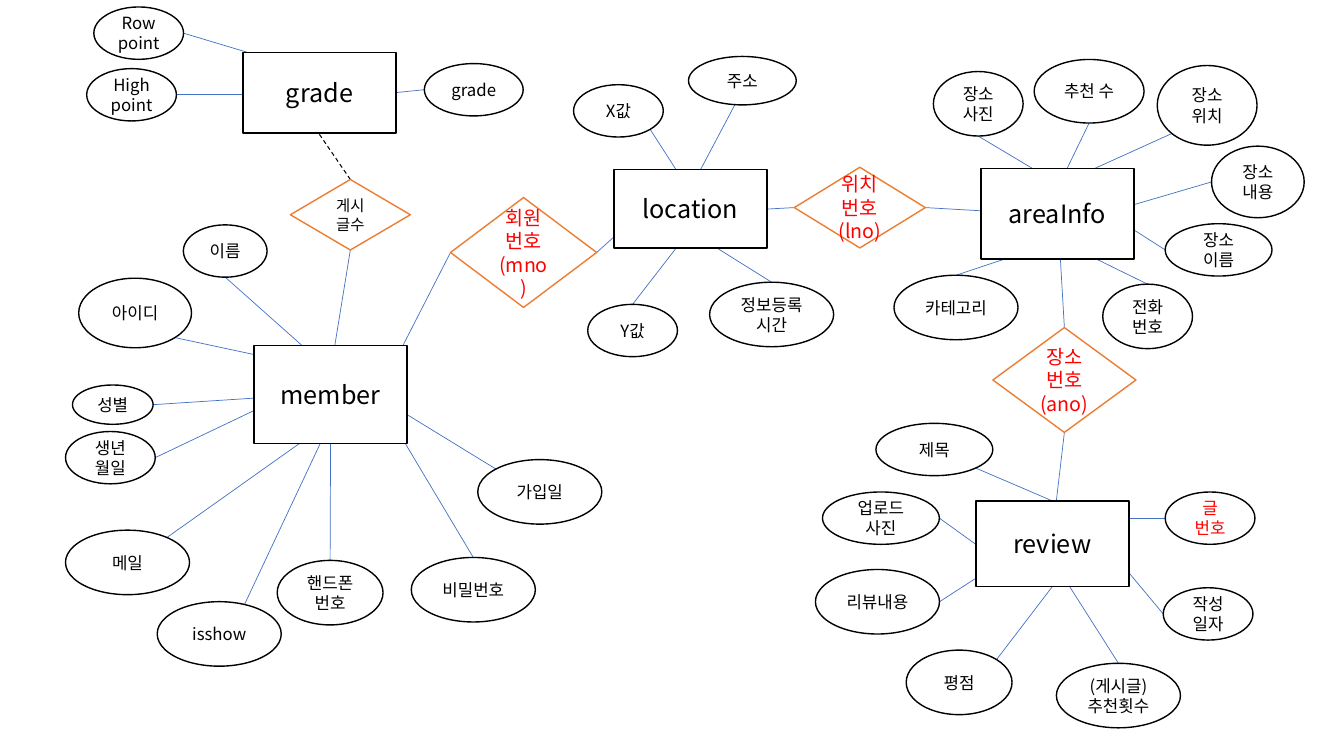
from lxml.etree import SubElement
from pptx import Presentation
from pptx.dml.color import RGBColor
from pptx.enum.dml import MSO_LINE
from pptx.enum.shapes import MSO_CONNECTOR, MSO_SHAPE
from pptx.enum.text import MSO_ANCHOR, PP_ALIGN
from pptx.oxml.ns import qn
from pptx.util import Pt

COLORS = {"paper": "FFFFFF", "ink": "000000", "key": "FF0000",
          "relation": "ED7D31", "link": "4472C4"}
FONT = "Noto Sans CJK KR"

# Attribute points as fractions of the bounding box
SITES = {"top": (.5, 0), "bottom": (.5, 1), "left": (0, .5), "right": (1, .5),
         "top left": (.146, .146), "top right": (.854, .146),
         "bottom left": (.146, .854), "bottom right": (.854, .854),
         "near bottom": (.47, .83), "near top": (.68, .14), "middle": (.49, .56)}

SMALL, MEDIUM, WIDE = (64.1, 37.4), (75.6, 46.1), (88.6, 46.1)
BROAD, TALL = (83.5, 37.4), (64.1, 46.1)

# Entity: box and the points where links end
ENTITIES = {
    "grade": ((173.5, 37.4, 109.4, 57.6), {
        "left": (194.4, 67.7), "top": (227.5, 52.6), "right": (282.2, 66.2),
        "bottom": (227.5, 95)}),
    "member": ((181.4, 247, 109.4, 69.8), {
        "top": (236.2, 265), "bottom": (236.2, 301),
        "left": (203, 283), "right": (269.3, 283)}),
    "location": ((438.5, 121, 109.4, 56.2), {
        "top": (492.5, 136.1), "bottom": (492.5, 164.9),
        "left": (459.4, 150.5), "right": (526.3, 150.5)}),
    "areaInfo": ((700.6, 120.2, 109.4, 64.8), {
        "top": (756.7, 131.8), "bottom": (756.7, 172.1),
        "left": (723.6, 151.9), "right": (790.6, 151.9)}),
    "review": ((697, 357.8, 109.4, 61.2), {
        "top": (751.7, 357.8), "bottom": (751.7, 419), "left": (697, 388.8),
        "right": (787, 385.9), "inner top": (753.1, 370.1),
        "inner left": (717.8, 399.6), "inner bottom": (753.1, 401.8)}),
}

# Entity: attributes as text, place, size, own site, entity point
ATTRIBUTES = {
    "grade": [
        ("Row\npoint", (67, 5), SMALL, "right", "top"),
        ("High\npoint", (61.9, 49), SMALL, "right", "left"),
        ("grade", (303.1, 45.4), (70.6, 37.4), "left", "right")],
    "member": [
        ("이름", (131, 160.6), (59.8, 37.4), "bottom", "top"),
        ("아이디", (56.2, 198.7), (80.6, 49.7), "bottom right", "top"),
        ("성별", (51.8, 275), (57.6, 28.1), "right", "left"),
        ("생년월일", (46.8, 308.2), SMALL, "right", "left"),
        ("메일", (46.8, 378.7), WIDE, "middle", "bottom"),
        ("isshow", (112.3, 429.8), WIDE, "near top", "bottom"),
        ("핸드폰번호", (198, 400.3), MEDIUM, "top", "bottom"),
        ("비밀번호", (293.8, 398.2), WIDE, "top", "right"),
        ("가입일", (341.3, 328.3), WIDE, "top left", "right")],
    "location": [
        ("X값", (409.7, 60.5), SMALL, "bottom right", "top"),
        ("주소", (491.8, 40.3), (77, 34.6), "near bottom", "top"),
        ("Y값", (419.8, 217.4), SMALL, "top", "bottom"),
        ("정보등록시간", (506.9, 201.6), WIDE, "top", "bottom")],
    "areaInfo": [
        ("장소\n사진", (666.7, 51.1), TALL, "bottom", "top"),
        ("추천 수", (738.7, 42.5), (78.5, 45.4), "bottom", "top"),
        ("장소\n위치", (826.6, 46.8), (71.3, 56.9), "bottom left", "top"),
        ("장소내용", (865.4, 104.4), (66.2, 51.1), "left", "right"),
        ("장소\n이름", (832.3, 159.8), (76.3, 37.4), "left", "right"),
        ("전화번호", (787.7, 203), TALL, "top", "bottom"),
        ("카테고리", (638.6, 196.6), WIDE, "top", "bottom")],
    "review": [
        ("제목", (625.7, 302.4), BROAD, "bottom right", "top"),
        ("업로드\n사진", (587.5, 351.4), BROAD, "right", "left"),
        ("리뷰내용", (582.5, 406.8), WIDE, "right", "inner left"),
        ("평점", (647.3, 464.4), MEDIUM, "top right", "bottom"),
        ("(게시글)추천횟수", (754.6, 473.8), WIDE, "top", "inner bottom"),
        ("작성일자", (830.9, 419.8), SMALL, "left", "right"),
        ("글\n번호", (832.3, 351.4), SMALL, "left", "inner top")],
}
KEY_ATTRIBUTE = "글\n번호"

# Relation: text, box, size and colour of text, links (own site, entity, entity point)
RELATIONS = [
    ("게시글수", (207.4, 128.2, 85.7, 50.4), 11, "ink",
     [("top", "grade", "bottom"), ("bottom", "member", "top")]),
    ("회원번호\n(mno)", (321.8, 141.1, 104.4, 78.5), 14, "key",
     [("left", "member", "right"), ("right", "location", "left")]),
    ("위치번호\n(lno)", (567.4, 119.5, 93.6, 57.6), 14, "key",
     [("left", "location", "right"), ("right", "areaInfo", "left")]),
    ("장소번호(ano)", (709.2, 234, 102.2, 74.9), 14, "key",
     [("top", "areaInfo", "bottom"), ("bottom", "review", "inner top")]),
]


def site_point(box, site):
    """Return the point of a named site on a box."""
    left, top, width, height = box
    across, down = SITES[site]
    return left + across * width, top + down * height


def write_text(frame, text, size, color):
    """Fill a text frame with centred paragraphs."""
    frame.word_wrap = True
    frame.vertical_anchor = MSO_ANCHOR.MIDDLE
    frame.text = text
    for paragraph in frame.paragraphs:
        paragraph.alignment = PP_ALIGN.CENTER
        for run in paragraph.runs:
            run.font.size = Pt(size)
            run.font.color.rgb = RGBColor.from_string(COLORS[color])
            run.font.name = FONT
            SubElement(run.font._element, qn("a:ea"), typeface=FONT)


class Diagram:
    """Holds the slide and draws the parts of an entity diagram."""

    def __init__(self, slide):
        """Keep the slide to draw on."""
        self.shapes = slide.shapes

    def node(self, kind, box, text, size, color="ink", border="ink"):
        """Draw an outlined node with its text."""
        node = self.shapes.add_shape(kind, *map(Pt, box))
        node.shadow.inherit = False
        node.fill.solid()
        node.fill.fore_color.rgb = RGBColor.from_string(COLORS["paper"])
        node.line.color.rgb = RGBColor.from_string(COLORS[border])
        node.line.width = Pt(1)
        write_text(node.text_frame, text, size, color)

    def entity(self, name, box):
        """Draw an entity rectangle."""
        self.node(MSO_SHAPE.RECTANGLE, box, name, 18)

    def attribute(self, text, box):
        """Draw an attribute ellipse."""
        self.node(MSO_SHAPE.OVAL, box, text, 12,
                  "key" if text == KEY_ATTRIBUTE else "ink")

    def relation(self, text, box, size, color):
        """Draw a relation diamond."""
        self.node(MSO_SHAPE.DIAMOND, box, text, size, color, "relation")

    def link(self, start, end, dashed=False):
        """Draw a straight link between two points."""
        link = self.shapes.add_connector(
            MSO_CONNECTOR.STRAIGHT, *map(Pt, start + end))
        link.line.color.rgb = RGBColor.from_string(
            COLORS["ink" if dashed else "link"])
        link.line.width = Pt(.75 if dashed else .5)
        if dashed:
            link.line.dash_style = MSO_LINE.DASH
        SubElement(link._element.spPr, qn("a:effectLst"))


def main():
    """Build the entity diagram, links first, and save it."""
    deck = Presentation()
    deck.slide_width, deck.slide_height = Pt(960), Pt(540)
    diagram = Diagram(deck.slides.add_slide(deck.slide_layouts[6]))

    for entity, attributes in ATTRIBUTES.items():
        ports = ENTITIES[entity][1]
        for text, place, size, site, port in attributes:
            box = place + size
            diagram.link(site_point(box, site), ports[port])
            diagram.attribute(text, box)
    for text, box, size, color, links in RELATIONS:
        for site, entity, port in links:
            diagram.link(site_point(box, site), ENTITIES[entity][1][port],
                         dashed=entity == "grade")
        diagram.relation(text, box, size, color)
    for name, (box, _) in ENTITIES.items():
        diagram.entity(name, box)

    deck.save("out.pptx")


main()
